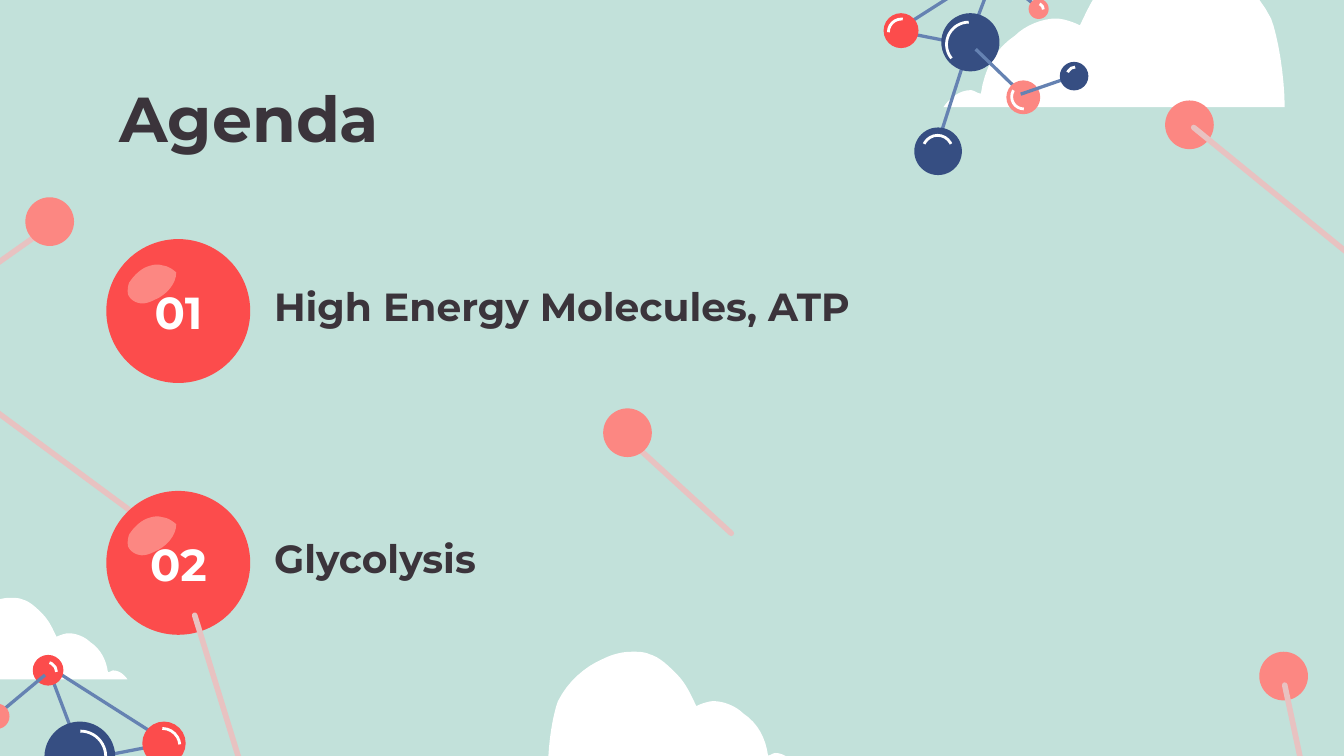
from pptx import Presentation
from pptx.dml.color import RGBColor
from pptx.enum.shapes import MSO_CONNECTOR, MSO_SHAPE
from pptx.enum.text import MSO_ANCHOR, PP_ALIGN
from pptx.oxml.ns import qn
from pptx.util import Cm, Pt
from lxml.etree import SubElement

NAVY, BLUE, RED = "364E82", "6582B2", "FC4C4C"
PINK, PALE = "FC8782", "E8C2C1"
WHITE, INK = "FFFFFF", "3B343B"


def color(code):
    return RGBColor.from_string(code)


def curve(nodes, left, top, wide, high, fill):
    """Fill a closed chain of cubic curves, scaled and moved into place."""
    dots = []
    for i in range(0, len(nodes) - 1, 3):
        for step in range(8):
            t = step / 8
            part = [(1 - t) ** 3, 3 * t * (1 - t) ** 2, 3 * t * t * (1 - t), t ** 3]
            x, y = [sum(w * n[k] for w, n in zip(part, nodes[i:i + 4])) for k in (0, 1)]
            dots.append((Cm(left + x * wide), Cm(top + y * high)))
    build = shapes.build_freeform(*dots[0], scale=1.0)
    build.add_line_segments(dots[1:], close=True)
    form = build.convert_to_shape()
    form.shadow.inherit = False
    form.fill.solid()
    form.fill.fore_color.rgb = color(fill)
    form.line.fill.background()
    return form


prs = Presentation()
prs.slide_width, prs.slide_height = Cm(25.4), Cm(14.29)
slide = prs.slides.add_slide(prs.slide_layouts[6])
shapes = slide.shapes
slide.background.fill.solid()
slide.background.fill.fore_color.rgb = color("C2E1DA")

# Clouds: one outline in hundredths of its width; a negative width mirrors it
cloud = [
    (34, 0), (30, 0), (26, 1), (22, 3), (15, 6), (8, 12), (4, 20),
    (2, 25), (0, 37), (0, 46), (33, 46), (67, 46), (100, 46),
    (98, 43), (95, 41), (92, 41), (91, 41), (90, 42), (89, 42),
    (88, 35), (85, 29), (79, 25), (76, 22), (71, 20), (67, 20),
    (65, 20), (62, 21), (60, 22), (58, 18), (56, 13), (52, 9),
    (49, 6), (45, 2), (41, 1), (39, 0), (36, 0), (34, 0),
]
for left, top, wide in [(24.28, -0.94, -6.45), (10.36, 12.32, 4.67), (-0.94, 11.3, 3.35)]:
    curve(cloud, left, top, wide / 100, abs(wide) / 100, WHITE)

# Balls (color, centre, radius) and rods (color, start, end), back to front
parts = [
    # Upper molecule
    (BLUE, 18.8, -0.53, 18.36, 0.64),
    (BLUE, 17.07, 0.61, 18.19, 0.83),
    (BLUE, 18.26, 1.03, 17.7, 2.78),
    (NAVY, 17.73, 2.86, 0.45),
    (NAVY, 18.34, 0.8, 0.55),
    (BLUE, 18.44, 0.93, 19.33, 1.79),
    (PINK, 19.34, 1.84, 0.32),
    (BLUE, 18.77, -0.58, 16.98, 0.56),
    (BLUE, 18.87, -0.47, 19.61, 0.14),
    (BLUE, 20.19, 1.47, 19.29, 1.78),
    (PINK, 19.63, 0.17, 0.19),
    (NAVY, 20.3, 1.44, 0.27),
    (RED, 17.03, 0.58, 0.33),
    # Lower molecule
    (BLUE, 0.94, 12.71, 1.47, 14.11),
    (BLUE, 3.02, 14.08, 1.68, 14.34),
    (NAVY, 1.51, 14.31, 0.67),
    (BLUE, 0.98, 12.64, 3.15, 14.02),
    (RED, 0.91, 12.67, 0.29),
    (BLUE, 0.85, 12.76, -0.05, 13.51),
    (PINK, -0.06, 13.54, 0.24),
    (RED, 3.1, 14.05, 0.41),
    # Loose atoms
    (PALE, -0.38, 5.21, 1.02, 4.22),
    (PINK, 0.94, 4.19, 0.46),
    (PINK, 22.48, 2.36, 0.46),
    (PINK, 24.26, 12.78, 0.46),
    (PALE, 24.28, 12.95, 24.61, 14.5),
    (PALE, 22.56, 2.41, 25.65, 4.93),
    (PALE, 11.94, 8.36, 13.82, 10.08),
    (PINK, 11.86, 8.18, 0.46),
    # Number discs
    (PALE, -0.15, 7.72, 2.77, 9.88),
    (RED, 3.37, 5.88, 1.36),
    (RED, 3.37, 10.64, 1.36),
    (PALE, 3.68, 11.63, 4.6, 14.61),
]
for tint, x, y, *rest in parts:
    if len(rest) == 1:
        r = rest[0]
        ball = shapes.add_shape(MSO_SHAPE.OVAL, Cm(x - r), Cm(y - r), Cm(2 * r), Cm(2 * r))
        ball.shadow.inherit = False
        ball.fill.solid()
        ball.fill.fore_color.rgb = color(tint)
        ball.line.fill.background()
    else:
        rod = shapes.add_connector(
            MSO_CONNECTOR.STRAIGHT, Cm(x), Cm(y), Cm(rest[0]), Cm(rest[1]))
        rod.line.color.rgb = color(tint)
        rod.line.width = Pt(3 if tint == PALE else 1.75)
        if tint == PALE:
            rod.line._get_or_add_ln().set("cap", "rnd")
        SubElement(rod._element.spPr, qn("a:effectLst"))

# White glints: centre, radius, start and end angle
glints = [
    (18.31, 0.84, 0.42, 141, 270), (17.04, 0.61, 0.25, 180, 275),
    (19.61, 0.18, 0.11, 290, 0), (20.32, 1.42, 0.15, 200, 270),
    (19.35, 1.83, 0.23, 90, 212), (17.72, 2.84, 0.28, 205, 335),
    (1.52, 14.3, 0.48, 270, 40), (0.89, 12.7, 0.18, 285, 0),
    (3.07, 14.1, 0.33, 270, 355),
]
for x, y, r, start, end in glints:
    arc = shapes.add_shape(MSO_SHAPE.ARC, Cm(x - r), Cm(y - r), Cm(2 * r), Cm(2 * r))
    arc.adjustments[0], arc.adjustments[1] = start * 0.6, end * 0.6
    arc.shadow.inherit = False
    arc.fill.background()
    arc.line.color.rgb = color(WHITE)
    arc.line.width = Pt(1.5)

# Gloss on the discs, measured from the disc centre
gloss = [
    (-0.34, -0.88), (-0.42, -0.9), (-0.5, -0.88), (-0.57, -0.85),
    (-0.72, -0.8), (-0.85, -0.65), (-0.93, -0.5),
    (-0.95, -0.42), (-0.95, -0.34), (-0.93, -0.27),
    (-0.88, -0.19), (-0.8, -0.14), (-0.7, -0.13),
    (-0.6, -0.12), (-0.5, -0.17), (-0.42, -0.22),
    (-0.22, -0.32), (-0.04, -0.55), (-0.06, -0.77),
    (-0.14, -0.83), (-0.24, -0.88), (-0.34, -0.88),
]

# Texts: wording, box, size, color, anchor, alignment
texts = [("Agenda", 2.01, 1.24, 21.39, 1.6, 34, INK, MSO_ANCHOR.TOP, PP_ALIGN.LEFT)]
items = [("High Energy Molecules, ATP", 16.76), ("Glycolysis", 14.45)]
for i, (label, wide) in enumerate(items):
    drop = 4.76 * i
    curve(gloss, 3.37, 5.88 + drop, 1, 1, PINK).rotation = 5
    texts += [
        (label, 4.93, 5.16 + drop, wide, 1.32, 21, INK, MSO_ANCHOR.BOTTOM, PP_ALIGN.LEFT),
        (f"{i + 1:02}", 2.41, 5.23 + drop, 1.93, 1.32, 24, WHITE,
         MSO_ANCHOR.MIDDLE, PP_ALIGN.CENTER),
    ]
for words, x, y, wide, high, size, tint, anchor, align in texts:
    frame = shapes.add_textbox(Cm(x), Cm(y), Cm(wide), Cm(high)).text_frame
    pad = Cm(0.25)
    looks = {"word_wrap": True, "vertical_anchor": anchor, "margin_left": pad,
             "margin_right": pad, "margin_top": pad, "margin_bottom": pad}
    for key, value in looks.items():
        setattr(frame, key, value)
    para = frame.paragraphs[0]
    para.alignment = align
    run = para.add_run()
    run.text = words
    for key, value in {"name": "Montserrat", "size": Pt(size), "bold": True}.items():
        setattr(run.font, key, value)
    run.font.color.rgb = color(tint)

prs.save("out.pptx")
